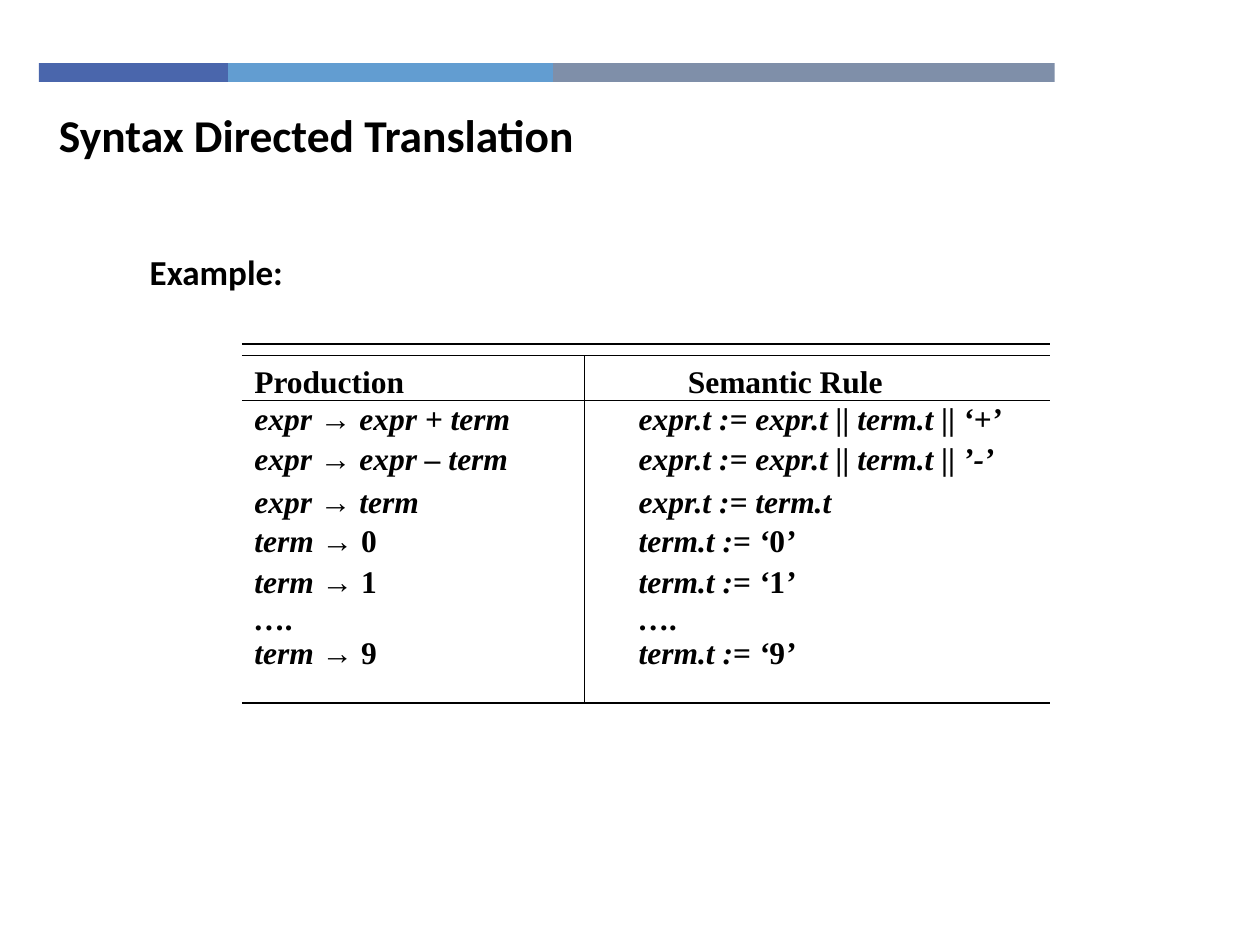
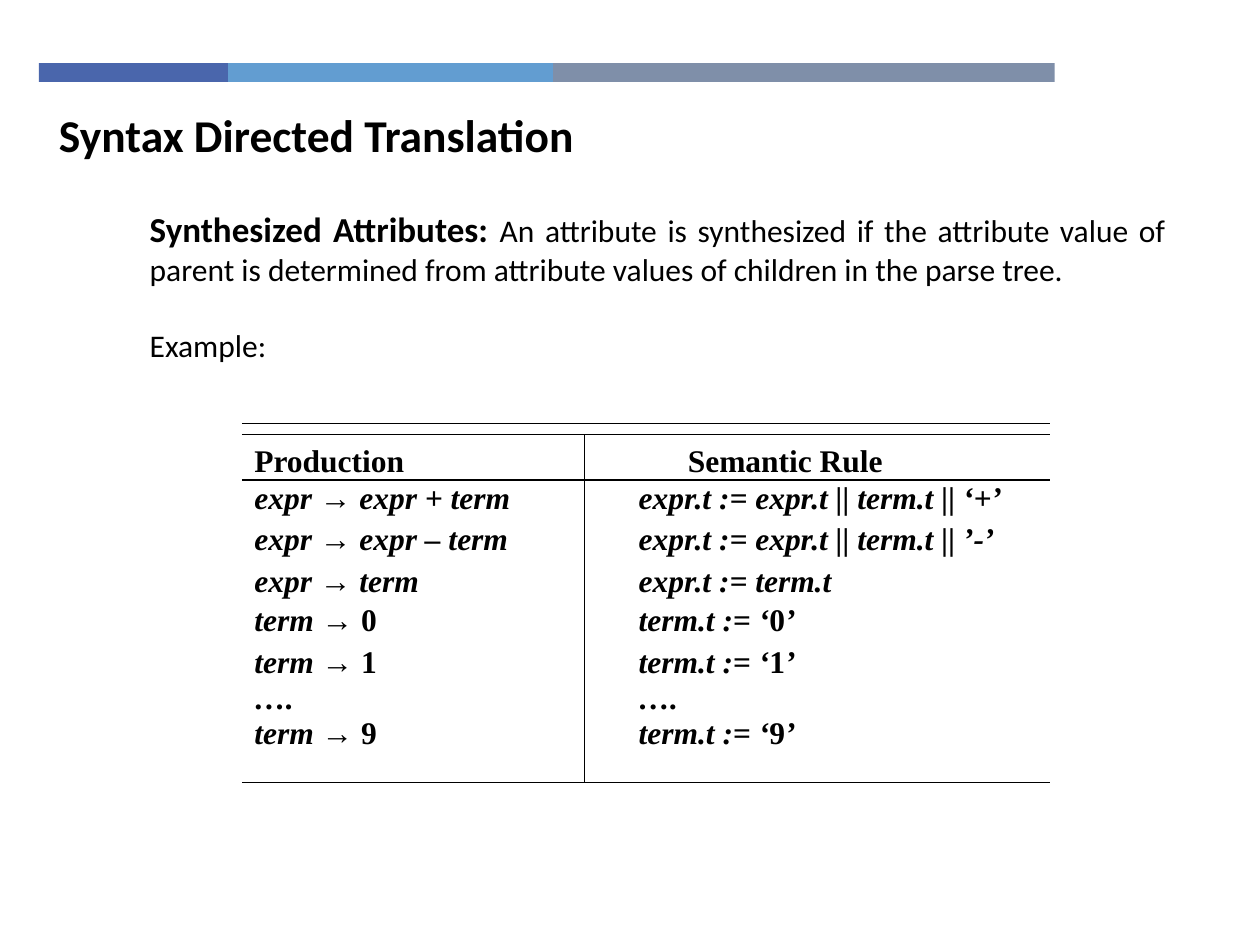
from lxml import etree
from pptx import Presentation
from pptx.dml.color import RGBColor
from pptx.enum import shapes, text
from pptx.oxml.ns import qn
from pptx.util import Inches, Pt

BLACK = RGBColor(0x00, 0x00, 0x00)
INDIGO = RGBColor(0x4A, 0x66, 0xAC)
SKY = RGBColor(0x62, 0x9D, 0xD1)
SLATE = RGBColor(0x7F, 0x8F, 0xA9)

BAND = [(INDIGO, 1.5), (SKY, 2.58), (SLATE, 3.98)]
HEADING_TAB = 3.44
RULE_TAB = 3.05
GRAMMAR = [
    ("Production\tSemantic Rule", 1.0),
    ("_expr_ → _expr + term\texpr.t := expr.t || term.t || ‘+’_", 0.5),
    ("_expr_ → _expr – term\texpr.t := expr.t || term.t || ’-’_", 0.7),
    ("_expr_ → _term\texpr.t := term.t_", 0.7),
    ("_term_ → 0\t_term.t := ‘_0_’_", 0.6),
    ("_term_ → 1\t_term.t := ‘_1_’_", 0.7),
    ("_….\t…._", 0.5),
    ("_term_ → 9\t_term.t := ‘_9_’_", 0.5),
]


class Deck:
    body_font = "Calibri"
    grammar_font = "Times New Roman"

    def __init__(self):
        self.presentation = Presentation()
        self.presentation.slide_width = Inches(10)
        self.presentation.slide_height = Inches(7.5)
        self.slide = None

    def new_slide(self, title):
        self.slide = self.presentation.slides.add_slide(self.presentation.slide_layouts[6])
        left = 0.31
        for color, width in BAND:
            self.bar(left, 0.5, width, 0.15, color)
            left += width
        heading = self.text_frame(0.37, 0.8, 7.16, 0.54).paragraphs[0]
        heading.space_before = Pt(20)
        self.add_run(heading, title, 26, bold=True)

    def bar(self, left, top, width, height, color):
        bar = self.slide.shapes.add_shape(
            shapes.MSO_SHAPE.RECTANGLE, Inches(left), Inches(top), Inches(width), Inches(height))
        bar.shadow.inherit = False
        bar.fill.solid()
        bar.fill.fore_color.rgb = color
        bar.line.fill.background()

    def text_frame(self, left, top, width, height):
        frame = self.slide.shapes.add_textbox(
            Inches(left), Inches(top), Inches(width), Inches(height)).text_frame
        frame.word_wrap = True
        return frame

    def add_run(self, paragraph, words, size, bold=False, italic=False, font=body_font):
        run = paragraph.add_run()
        run.text = words
        run.font.name = font
        run.font.size = Pt(size)
        run.font.bold = bold
        run.font.italic = italic
        run.font.color.rgb = BLACK

    def line(self, x1, y1, x2, y2):
        rule = self.slide.shapes.add_connector(
            shapes.MSO_CONNECTOR.STRAIGHT, Inches(x1), Inches(y1), Inches(x2), Inches(y2))
        rule.line.color.rgb = BLACK
        rule.line.width = Pt(0.75)
        etree.SubElement(rule._element.spPr, qn("a:effectLst"))

    def set_tab(self, paragraph, position):
        tabs = etree.SubElement(paragraph._p.get_or_add_pPr(), qn("a:tabLst"))
        etree.SubElement(tabs, qn("a:tab"), pos=str(Inches(position)), algn="l")

    def grammar(self, top):
        left, right, divider, bottom = 1.92, 8.33, 4.64, top + 2.76
        frame = self.text_frame(left, top, 7.58, 2.72)
        for index, (row, spacing) in enumerate(GRAMMAR):
            paragraph = frame.add_paragraph() if index else frame.paragraphs[0]
            paragraph.line_spacing = spacing
            paragraph.space_before = Pt(9)
            self.set_tab(paragraph, RULE_TAB if index else HEADING_TAB)
            for part, words in enumerate(row.split("_")):
                if words:
                    self.add_run(paragraph, words, 18, bold=True,
                                 italic=part % 2 == 1, font=self.grammar_font)
        for y in (top, top - 0.09, bottom, top + 0.36):
            self.line(left, y, right, y)
        self.line(divider, top, divider, bottom)


def main():
    deck = Deck()

    deck.new_slide("Syntax Directed Translation")
    example = deck.text_frame(1.09, 1.94, 8.26, 5.11).paragraphs[0]
    deck.add_run(example, "Example:", 20, bold=True)
    deck.grammar(2.82)

    deck.new_slide("Syntax Directed Translation")
    body = deck.text_frame(1.09, 1.6, 8.26, 5.28)
    definition = body.paragraphs[0]
    definition.alignment = text.PP_ALIGN.JUSTIFY
    deck.add_run(definition, "Synthesized Attributes: ", 20, bold=True)
    deck.add_run(definition, "An attribute is synthesized if the attribute value of parent is "
                 "determined from attribute values of children in the parse tree.", 18)
    example = body.add_paragraph()
    example.alignment = text.PP_ALIGN.JUSTIFY
    example.space_before = Pt(22)
    deck.add_run(example, "Example:", 18)
    deck.grammar(3.45)

    deck.presentation.save("out.pptx")


if __name__ == "__main__":
    main()
